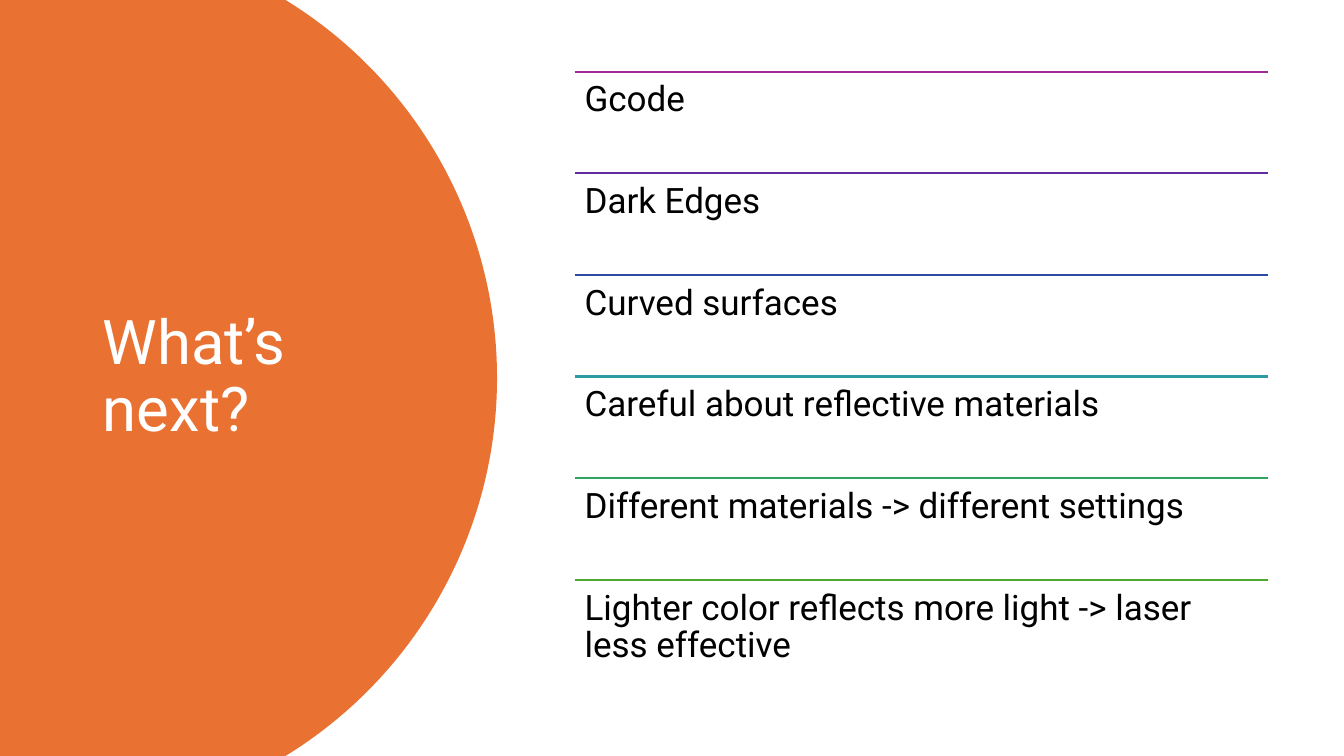
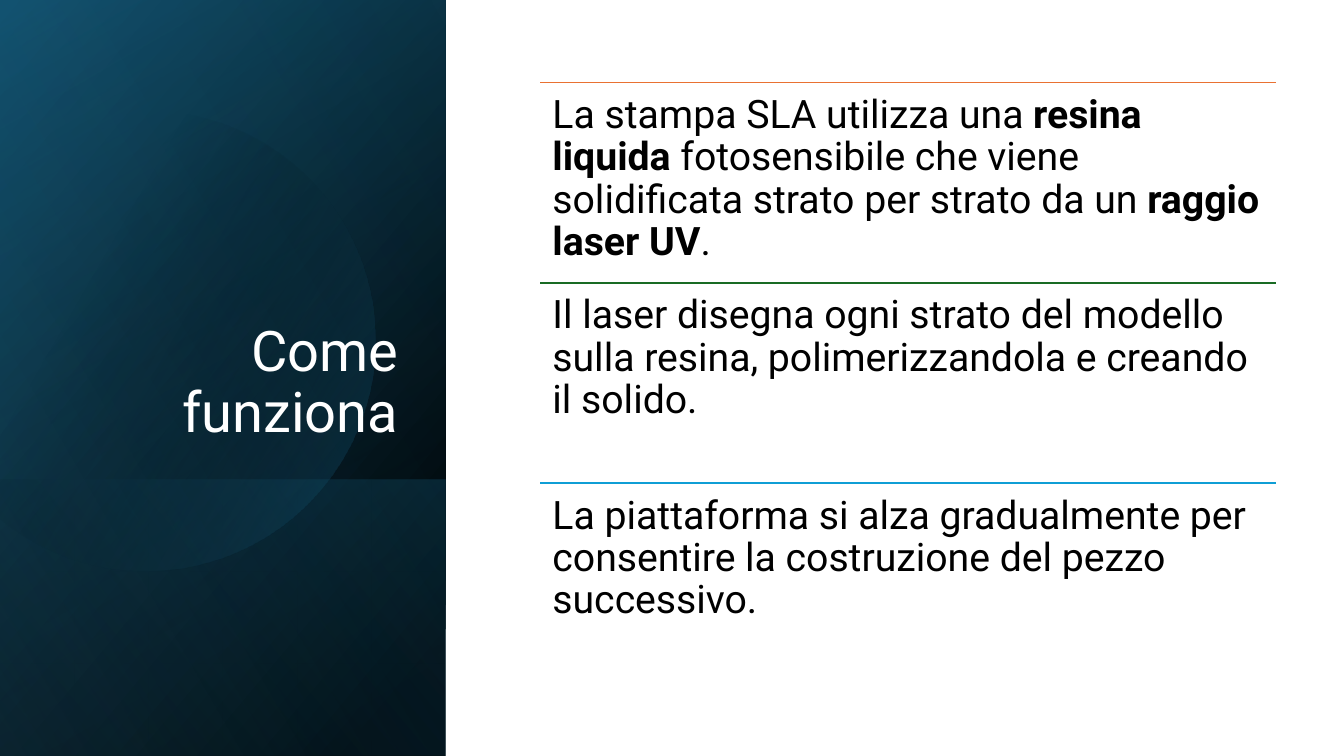
from dataclasses import dataclass
from itertools import pairwise
from math import acos, asin, cos, pi, sin, tan

from lxml.etree import SubElement
from pptx import Presentation
from pptx.dml.color import RGBColor
from pptx.enum.shapes import MSO_CONNECTOR as CONNECTOR, MSO_SHAPE as SHAPE
from pptx.enum.text import MSO_ANCHOR as ANCHOR, MSO_AUTO_SIZE as AUTO, PP_ALIGN as ALIGN
from pptx.oxml.ns import qn
from pptx.util import Emu, Pt

PX = 9144  # 100 px to the inch
SLIDE_W, SLIDE_H = 1333, 750
PANEL_W = 442
FONT = "Roboto"

COLORS = {
    "white": "FFFFFF", "black": "000000", "orange": "E97132",
    "magenta": "A02B93", "violet": "5F2CA1", "blue": "2C49A3",
    "teal": "2D9AA4", "mint": "2DA65F", "lime": "4EA72E",
    "forest": "196B24", "azure": "0F9ED5",
    "deep": "104862", "petrol": "156082", "sky": "46B1E1",
}


@dataclass(frozen=True)
class Box:
    x: int
    y: int
    w: int
    h: int


@dataclass(frozen=True)
class Title:
    text: str
    box: Box
    size: int
    anchor: ANCHOR
    align: ALIGN


@dataclass(frozen=True)
class Row:
    text: str  # words between asterisks are bold
    color: str


@dataclass(frozen=True)
class RowList:
    box: Box
    size: int
    inset: int
    line_width: float
    rows: tuple[Row, ...]


@dataclass(frozen=True)
class Disc:
    cx: int
    cy: int
    radius: int


@dataclass(frozen=True)
class Stop:
    pos: int
    color: str
    alpha: int = 100


@dataclass(frozen=True)
class Gradient:
    angle: int  # clockwise degrees
    stops: tuple[Stop, ...]


NEXT_TITLE = Title("What’s next?", Box(92, 70, 323, 610), 44, ANCHOR.MIDDLE, ALIGN.LEFT)
NEXT_DISC = Disc(53, 375, 440)
NEXT_ROWS = RowList(Box(570, 71, 688, 605), 25, 10, 1.5, (
    Row("Gcode", "magenta"),
    Row("Dark Edges", "violet"),
    Row("Curved surfaces", "blue"),
    Row("Careful about reflective materials", "teal"),
    Row("Different materials -> different settings", "mint"),
    Row("Lighter color reflects more light -> laser less effective", "lime"),
))

HOW_TITLE = Title("Come funziona", Box(64, 184, 341, 262), 40, ANCHOR.BOTTOM, ALIGN.RIGHT)
HOW_DISC = Disc(144, 338, 228)
HOW_ROWS = RowList(Box(536, 82, 730, 596), 28, 12, 1, (
    Row("La stampa SLA utilizza una *resina liquida* fotosensibile che viene "
        "solidificata strato per strato da un *raggio laser UV*.", "orange"),
    Row("Il laser disegna ogni strato del modello sulla resina, "
        "polimerizzandola e creando il solido.", "forest"),
    Row("La piattaforma si alza gradualmente per consentire la costruzione "
        "del pezzo successivo.", "azure"),
))

PANEL = Box(0, 0, PANEL_W, SLIDE_H)
PANEL_FOOT = Box(0, 476, PANEL_W, 274)
PANEL_BASE = Gradient(220, (Stop(8, "black"), Stop(100, "deep")))
PANEL_TINT = Gradient(240, (Stop(0, "black", 0), Stop(99, "petrol", 46)))
FOOT_SHADE = Gradient(140, (Stop(2, "petrol", 29), Stop(100, "black", 30)))
DISC_GLOW = Gradient(30, (Stop(29, "black", 0), Stop(100, "petrol", 43)))
PANEL_SHEEN = Gradient(150, (Stop(0, "black", 0), Stop(99, "sky", 11)))


def px(n: float) -> Emu:
    return Emu(round(n * PX))


def rgb(name: str) -> RGBColor:
    return RGBColor.from_string(COLORS[name])


def apply(obj, fmt: dict) -> None:
    for name, value in fmt.items():
        setattr(obj, name, value)


def place(box: Box) -> tuple[Emu, ...]:
    return tuple(px(n) for n in (box.x, box.y, box.w, box.h))


def write(p, text: str, size: int, color: str) -> None:
    """Add runs, with every second part between asterisks in bold."""
    for i, part in enumerate(text.split("*")):
        r = p.add_run()
        r.text = part
        apply(r.font, {"name": FONT, "size": Pt(size), "bold": i % 2 == 1})
        r.font.color.rgb = rgb(color)


def add_title(s, title: Title) -> None:
    sp = s.shapes.title
    apply(sp, dict(zip(("left", "top", "width", "height"), place(title.box))))
    tf = sp.text_frame
    apply(tf, {"word_wrap": True, "auto_size": AUTO.NONE, "vertical_anchor": title.anchor})
    p = tf.paragraphs[0]
    apply(p, {"alignment": title.align, "line_spacing": 0.9})
    write(p, title.text, title.size, "white")
    sp.element.getparent().append(sp.element)  # in front of the panel


def add_rule(shapes, x: float, y: float, w: float, color: str, width: float) -> None:
    line = shapes.add_connector(CONNECTOR.STRAIGHT, px(x), px(y), px(x + w), px(y))
    line.line.color.rgb = rgb(color)
    line.line.width = Pt(width)
    SubElement(line.element.spPr, qn("a:effectLst"))


def add_rows(s, block: RowList) -> None:
    shapes = s.shapes.add_group_shape().shapes
    box = block.box
    pitch = box.h / len(block.rows)
    margins = {f"margin_{side}": px(block.inset) for side in ("left", "top", "right", "bottom")}
    for i, row in enumerate(block.rows):
        y = box.y + i * pitch
        add_rule(shapes, box.x, y, box.w, row.color, block.line_width)
        tf = shapes.add_textbox(px(box.x), px(y), px(box.w), px(pitch)).text_frame
        apply(tf, {"word_wrap": True, "auto_size": AUTO.NONE,
                   "vertical_anchor": ANCHOR.TOP, **margins})
        p = tf.paragraphs[0]
        p.line_spacing = 0.9
        write(p, row.text, block.size, "black")


def plain(sp) -> None:
    sp.shadow.inherit = False
    sp.line.fill.background()


def shade(sp, gradient: Gradient) -> None:
    plain(sp)
    sp.fill.gradient()
    sp.fill.gradient_angle = (360 - gradient.angle) % 360
    stops = sp.element.spPr.find(qn("a:gradFill")).find(qn("a:gsLst"))
    for old in list(stops):
        stops.remove(old)
    for stop in gradient.stops:
        gs = SubElement(stops, qn("a:gs"), pos=str(stop.pos * 1000))
        clr = SubElement(gs, qn("a:srgbClr"), val=COLORS[stop.color])
        if stop.alpha < 100:
            SubElement(clr, qn("a:alpha"), val=str(stop.alpha * 1000))


def add_shaded_rect(s, box: Box, gradient: Gradient) -> None:
    shade(s.shapes.add_shape(SHAPE.RECTANGLE, *place(box)), gradient)


def arc_points(disc: Disc, half: float) -> list[tuple[Emu, Emu]]:
    """Bezier start, then two controls and an end per piece, split at the quadrants."""
    quadrants = [a for a in (-pi / 2, 0, pi / 2) if abs(a) < half]

    def at(a: float, pull: float = 0) -> tuple[Emu, Emu]:
        return (px(disc.cx + disc.radius * (cos(a) - pull * sin(a))),
                px(disc.cy + disc.radius * (sin(a) + pull * cos(a))))

    points = [at(-half)]
    for a, b in pairwise([-half, *quadrants, half]):
        pull = 4 / 3 * tan((b - a) / 4)
        points += [at(a, pull), at(b, -pull), at(b)]
    return points


def bend(sp, pieces: int) -> None:
    """Turn the first lines of a freeform, three at a time, into curves."""
    path = next(sp.element.iter(qn("a:path")))
    lines = path.findall(qn("a:lnTo"))
    for i in range(0, pieces * 3, 3):
        curve = path.makeelement(qn("a:cubicBezTo"))
        lines[i].addprevious(curve)
        for line in lines[i:i + 3]:
            curve.append(line[0])
            path.remove(line)


def add_cut_disc(s, disc: Disc):
    """Draw the part of a disc that lies on the slide, cut by its left, top and bottom edges."""
    tall = disc.radius > disc.cy
    half = asin(disc.cy / disc.radius) if tall else pi - acos(disc.cx / disc.radius)
    arc = arc_points(disc, half)
    corners = [(0, px(SLIDE_H)), (0, 0)] if tall else []
    outline = s.shapes.build_freeform(*arc[0], scale=1.0)
    outline.add_line_segments(arc[1:] + corners, close=True)
    sp = outline.convert_to_shape()
    bend(sp, len(arc) // 3)
    return sp


def build_next(s) -> None:
    sp = add_cut_disc(s, NEXT_DISC)
    plain(sp)
    sp.fill.solid()
    sp.fill.fore_color.rgb = rgb("orange")
    add_title(s, NEXT_TITLE)
    add_rows(s, NEXT_ROWS)


def build_how(s) -> None:
    for box, gradient in ((PANEL, PANEL_BASE), (PANEL, PANEL_TINT), (PANEL_FOOT, FOOT_SHADE)):
        add_shaded_rect(s, box, gradient)
    shade(add_cut_disc(s, HOW_DISC), DISC_GLOW)
    add_shaded_rect(s, PANEL, PANEL_SHEEN)
    add_title(s, HOW_TITLE)
    add_rows(s, HOW_ROWS)


def main() -> None:
    prs = Presentation()
    apply(prs, {"slide_width": px(SLIDE_W), "slide_height": px(SLIDE_H)})
    title_only = prs.slide_layouts.get_by_name("Title Only")
    for build in (build_next, build_how):
        build(prs.slides.add_slide(title_only))
    prs.save("out.pptx")


if __name__ == "__main__":
    main()
